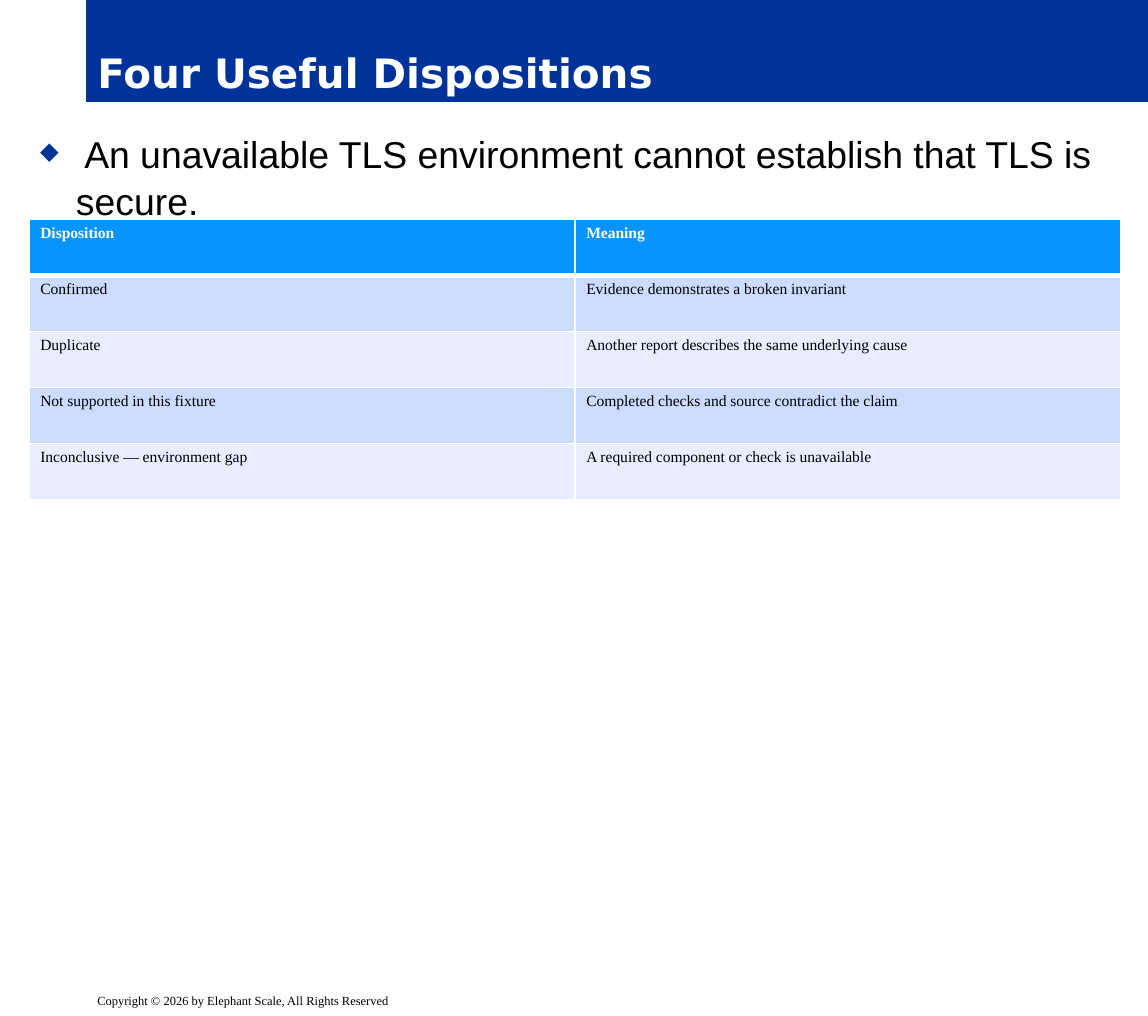
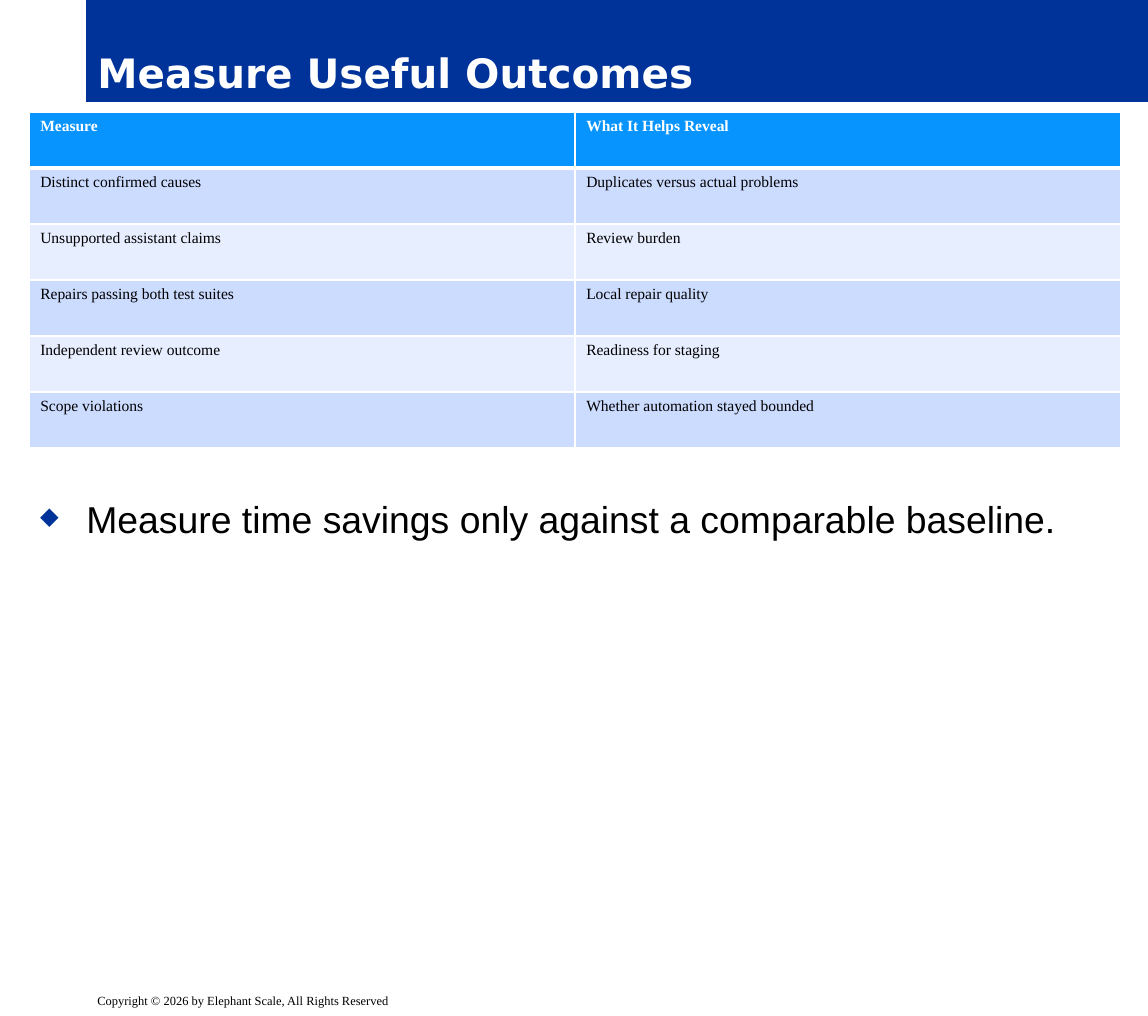
from lxml.etree import SubElement
from pptx import Presentation
from pptx.dml.color import RGBColor
from pptx.enum.text import MSO_ANCHOR, MSO_AUTO_SIZE, PP_ALIGN
from pptx.oxml.ns import qn
from pptx.util import Inches, Pt

# Palette
NAVY = RGBColor(0x00, 0x33, 0x99)
SKY = RGBColor(0x07, 0x94, 0xFF)
BAND_DARK = RGBColor(0xCC, 0xDC, 0xFF)
BAND_LIGHT = RGBColor(0xE7, 0xEE, 0xFF)
WHITE = RGBColor(0xFF, 0xFF, 0xFF)
BLACK = RGBColor(0x00, 0x00, 0x00)

# Shared text formats
TITLE = {"name": "DejaVu Sans", "size": Pt(26), "bold": True, "color": WHITE}
BODY = {"name": "Arial", "size": Pt(24), "bold": False, "color": BLACK}
FOOTER = {"name": "Times New Roman", "size": Pt(8), "bold": False, "color": BLACK}
CELL = {"name": "Times New Roman", "size": Pt(10), "bold": False, "color": BLACK}
HEADER = {**CELL, "bold": True, "color": WHITE}

# Shared geometry, in inches
SLIDE_W, SLIDE_H = 10.25, 9.07
BAND_X, BAND_H = 0.77, 0.91
BODY_X, BODY_W = 0.26, 9.75
ROW_H = 0.5
COPYRIGHT = "Copyright © 2026 by Elephant Scale, All Rights Reserved"


def write(p, text, style):
    """Put one formatted run into a paragraph."""
    r = p.add_run()
    r.text = text
    for name, value in style.items():
        if name == "color":
            r.font.color.rgb = value
        else:
            setattr(r.font, name, value)


def add_title(s, text):
    sp = s.shapes.title
    sp.left, sp.top = Inches(BAND_X), 0
    sp.width, sp.height = Inches(SLIDE_W - BAND_X), Inches(BAND_H)
    sp.fill.solid()
    sp.fill.fore_color.rgb = NAVY
    tf = sp.text_frame
    tf.auto_size = MSO_AUTO_SIZE.NONE
    tf.vertical_anchor = MSO_ANCHOR.BOTTOM
    p = tf.paragraphs[0]
    p.alignment = PP_ALIGN.LEFT
    write(p, text, TITLE)


def add_text(s, text, style, left, top, width, height):
    sp = s.shapes.add_textbox(*map(Inches, (left, top, width, height)))
    sp.text_frame.word_wrap = True
    p = sp.text_frame.paragraphs[0]
    write(p, text, style)
    return p


def add_bullet(s, text, top):
    p = add_text(s, text, BODY, BODY_X, top, BODY_W, 0.86)
    p.line_spacing = 1.05
    pPr = p._p.get_or_add_pPr()
    pPr.set("marL", str(Inches(0.32)))
    pPr.set("indent", str(-Inches(0.32)))
    color = SubElement(pPr, qn("a:buClr"))
    SubElement(color, qn("a:srgbClr"), val=str(NAVY))
    SubElement(pPr, qn("a:buSzPct"), val="65000")
    SubElement(pPr, qn("a:buChar"), char="◆")


def set_borders(cell, top, bottom):
    """White cell borders; top and bottom are widths in points."""
    tcPr = cell._tc.get_or_add_tcPr()
    for side, width in (("L", 1), ("R", 1), ("T", top), ("B", bottom)):
        ln = SubElement(tcPr, qn(f"a:ln{side}"), w=str(Pt(width)))
        fill = SubElement(ln, qn("a:solidFill"))
        SubElement(fill, qn("a:srgbClr"), val=str(WHITE))


def add_grid(s, rows, top):
    frame = s.shapes.add_table(
        len(rows), len(rows[0]), Inches(BODY_X), Inches(top),
        Inches(BODY_W), Inches(ROW_H * len(rows)))
    for i, row in enumerate(rows):
        fill = SKY if i == 0 else BAND_DARK if i % 2 else BAND_LIGHT
        for j, text in enumerate(row):
            cell = frame.table.cell(i, j)
            # The rule under the header is heavier
            set_borders(cell, 3 if i == 1 else 1, 3 if i == 0 else 1)
            cell.fill.solid()
            cell.fill.fore_color.rgb = fill
            write(cell.text_frame.paragraphs[0], text, CELL if i else HEADER)


def add_slide(prs, title, bullet, bullet_top, rows, table_top):
    s = prs.slides.add_slide(prs.slide_layouts[5])
    add_title(s, title)
    add_bullet(s, bullet, bullet_top)
    add_text(s, COPYRIGHT, FOOTER, BAND_X, 8.82, SLIDE_W - BAND_X, 0.25)
    add_grid(s, rows, table_top)


def main():
    prs = Presentation()
    prs.slide_width, prs.slide_height = Inches(SLIDE_W), Inches(SLIDE_H)

    # Dispositions
    add_slide(
        prs, "Four Useful Dispositions",
        " An unavailable TLS environment cannot establish that TLS is secure.", 1.1,
        [("Disposition", "Meaning"),
         ("Confirmed", "Evidence demonstrates a broken invariant"),
         ("Duplicate", "Another report describes the same underlying cause"),
         ("Not supported in this fixture",
          "Completed checks and source contradict the claim"),
         ("Inconclusive — environment gap",
          "A required component or check is unavailable")], 1.96)

    # Outcomes
    add_slide(
        prs, "Measure Useful Outcomes",
        " Measure time savings only against a comparable baseline.", 4.36,
        [("Measure", "What It Helps Reveal"),
         ("Distinct confirmed causes", "Duplicates versus actual problems"),
         ("Unsupported assistant claims", "Review burden"),
         ("Repairs passing both test suites", "Local repair quality"),
         ("Independent review outcome", "Readiness for staging"),
         ("Scope violations", "Whether automation stayed bounded")], 1)

    prs.save("out.pptx")


if __name__ == "__main__":
    main()
